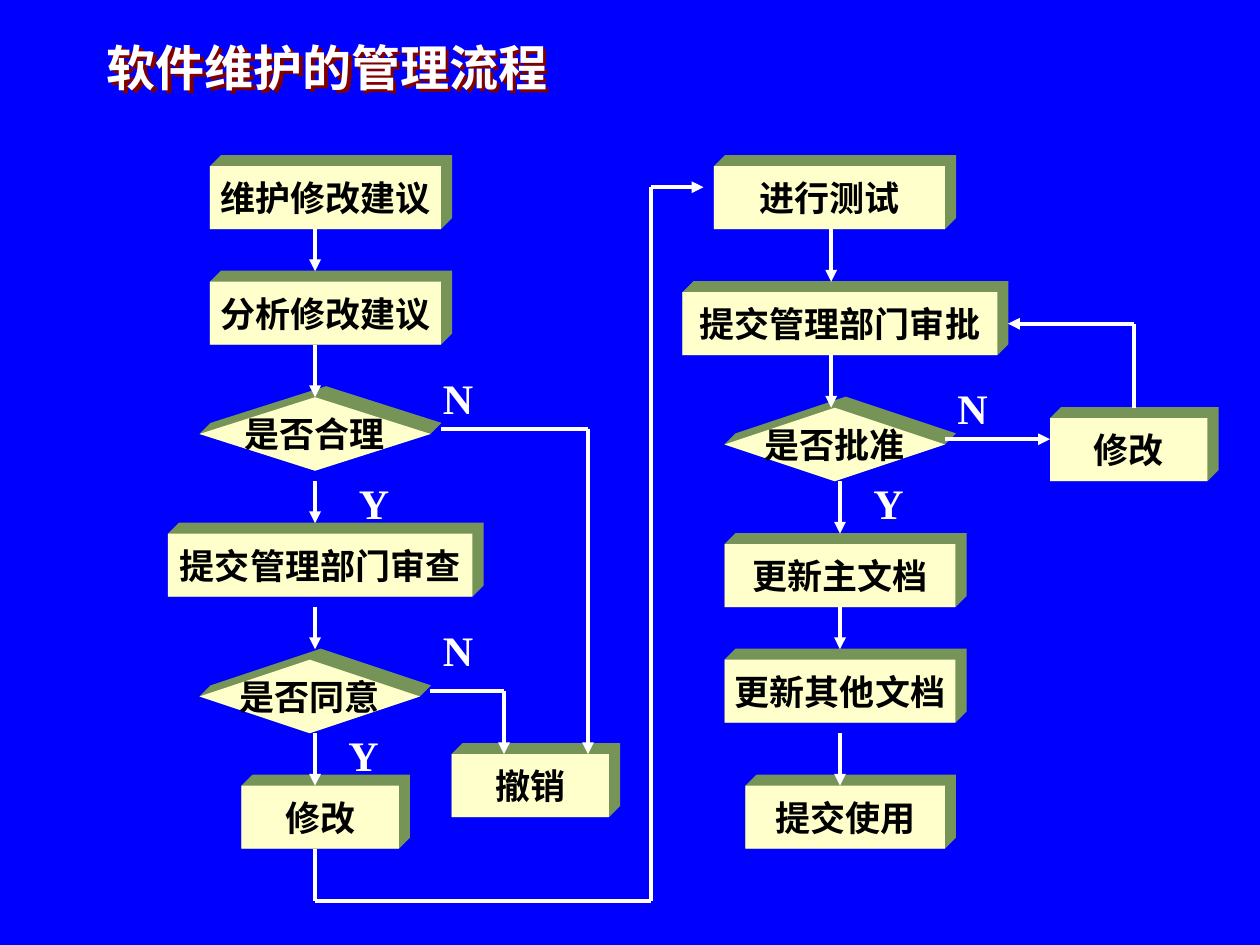
from itertools import pairwise

from lxml import etree
from pptx import Presentation
from pptx.dml.color import RGBColor
from pptx.enum import shapes, text
from pptx.oxml import ns
from pptx.util import Pt

BLUE = RGBColor(0x00, 0x00, 0xFF)
WHITE = RGBColor(0xFF, 0xFF, 0xFF)
BLACK = RGBColor(0x00, 0x00, 0x00)
CREAM = RGBColor(0xFF, 0xFF, 0xCC)
OLIVE = RGBColor(0x76, 0x94, 0x58)
DARK_RED = RGBColor(0x80, 0x00, 0x00)
FONT = "Times New Roman"
DEPTH = 6.3
BOX_HEIGHT = 36
DIAMOND_HEIGHT = 42


def write(shape, words, size=20, color=BLACK, align=text.PP_ALIGN.CENTER, margin=0, wrap=False):
    frame = shape.text_frame
    frame.word_wrap = wrap
    frame.vertical_anchor = text.MSO_ANCHOR.MIDDLE
    frame.margin_left = frame.margin_right = Pt(margin)
    frame.margin_top = frame.margin_bottom = 0
    paragraph = frame.paragraphs[0]
    paragraph.alignment = align
    run = paragraph.add_run()
    run.text = words
    run.font.name = FONT
    run.font.size = Pt(size)
    run.font.bold = True
    run.font.color.rgb = color


def paint(shape, color):
    shape.shadow.inherit = False
    shape.fill.solid()
    shape.fill.fore_color.rgb = color
    shape.line.fill.background()


presentation = Presentation()
presentation.slide_width = Pt(720)
presentation.slide_height = Pt(540)
slide = presentation.slides.add_slide(presentation.slide_layouts[6])
slide.background.fill.solid()
slide.background.fill.fore_color.rgb = BLUE

# Title with an offset dark red shadow
title = slide.shapes.add_textbox(Pt(54), Pt(16), Pt(612), Pt(44))
write(title, "软件维护的管理流程", size=28, color=WHITE,
      align=text.PP_ALIGN.LEFT, margin=7.2, wrap=True)
effects = etree.SubElement(title._element.spPr, ns.qn("a:effectLst"))
shadow = etree.SubElement(effects, ns.qn("a:outerShdw"),
                          dist=str(Pt(2.8)), dir="2700000", algn="ctr", rotWithShape="0")
etree.SubElement(shadow, ns.qn("a:srgbClr"), val=str(DARK_RED))

# Steps and decisions: text, left, top, width
steps = [
    ("维护修改建议", 120, 95, 132),
    ("分析修改建议", 120, 161, 132),
    ("提交管理部门审查", 96, 305, 174),
    ("修改", 138, 449, 90),
    ("撤销", 258, 431, 90),
    ("进行测试", 408, 95, 132),
    ("提交管理部门审批", 390, 167, 180),
    ("更新主文档", 414, 311, 132),
    ("更新其他文档", 414, 377, 132),
    ("提交使用", 426, 449, 114),
    ("修改", 600, 239, 90),
]
decisions = [
    ("是否合理", 114, 227, 132),
    ("是否同意", 114, 377, 126),
    ("是否批准", 414, 233, 126),
]
kinds = [
    (steps, shapes.MSO_SHAPE.RECTANGLE, BOX_HEIGHT),
    (decisions, shapes.MSO_SHAPE.DIAMOND, DIAMOND_HEIGHT),
]
for nodes, preset, height in kinds:
    for words, left, top, width in nodes:
        right, bottom = left + width, top + height
        if preset == shapes.MSO_SHAPE.RECTANGLE:
            back = [(left, top), (right, top), (right, bottom)]
            front = [(right, bottom), (left, bottom), (left, top)]
        else:
            center, middle = left + width / 2, top + height / 2
            back = [(left, middle), (center, top), (right, middle)]
            front = [(right, middle), (center, bottom), (left, middle)]
        outline = [(x + DEPTH, y - DEPTH) for x, y in back] + front
        points = [(Pt(x), Pt(y)) for x, y in outline]
        builder = slide.shapes.build_freeform(*points[0])
        builder.add_line_segments(points[1:], close=True)
        paint(builder.convert_to_shape(), OLIVE)

        face = slide.shapes.add_shape(preset, Pt(left), Pt(top), Pt(width), Pt(height))
        paint(face, CREAM)
        write(face, words)

# Routes: each one ends in an arrowhead
vertical_arrows = [
    (180, 131, 155), (180, 197, 227), (180, 275, 299), (180, 347, 371), (180, 419, 449),
    (475, 131, 161), (475, 203, 233), (480, 275, 305), (480, 347, 371), (480, 419, 449),
]
routes = [[(x, start), (x, end)] for x, start, end in vertical_arrows]
routes += [
    [(252, 245), (336, 245), (336, 431)],
    [(246, 395), (288, 395), (288, 431)],
    [(180, 485), (180, 515), (372, 515), (372, 107), (402, 107)],
    [(540, 251), (600, 251)],
    [(648, 233), (648, 185), (576, 185)],
]
for route in routes:
    for start, end in pairwise(route):
        line = slide.shapes.add_connector(
            shapes.MSO_CONNECTOR.STRAIGHT, *(Pt(value) for value in start + end))
        line.line.color.rgb = WHITE
        line.line.width = Pt(2.25)
        etree.SubElement(line._element.spPr, ns.qn("a:effectLst"))
    etree.SubElement(line.line._get_or_add_ln(), ns.qn("a:tailEnd"), type="triangle")

# Branch labels: text, left, top, width
labels = [
    ("N", 246, 209, 42), ("Y", 198, 269, 54),
    ("N", 246, 353, 36), ("Y", 192, 413, 54),
    ("N", 540, 215, 60), ("Y", 492, 269, 42),
]
for words, left, top, width in labels:
    label = slide.shapes.add_textbox(Pt(left), Pt(top), Pt(width), Pt(36))
    write(label, words, size=24, color=WHITE,
          align=text.PP_ALIGN.LEFT, margin=7.2, wrap=True)

presentation.save("out.pptx")
